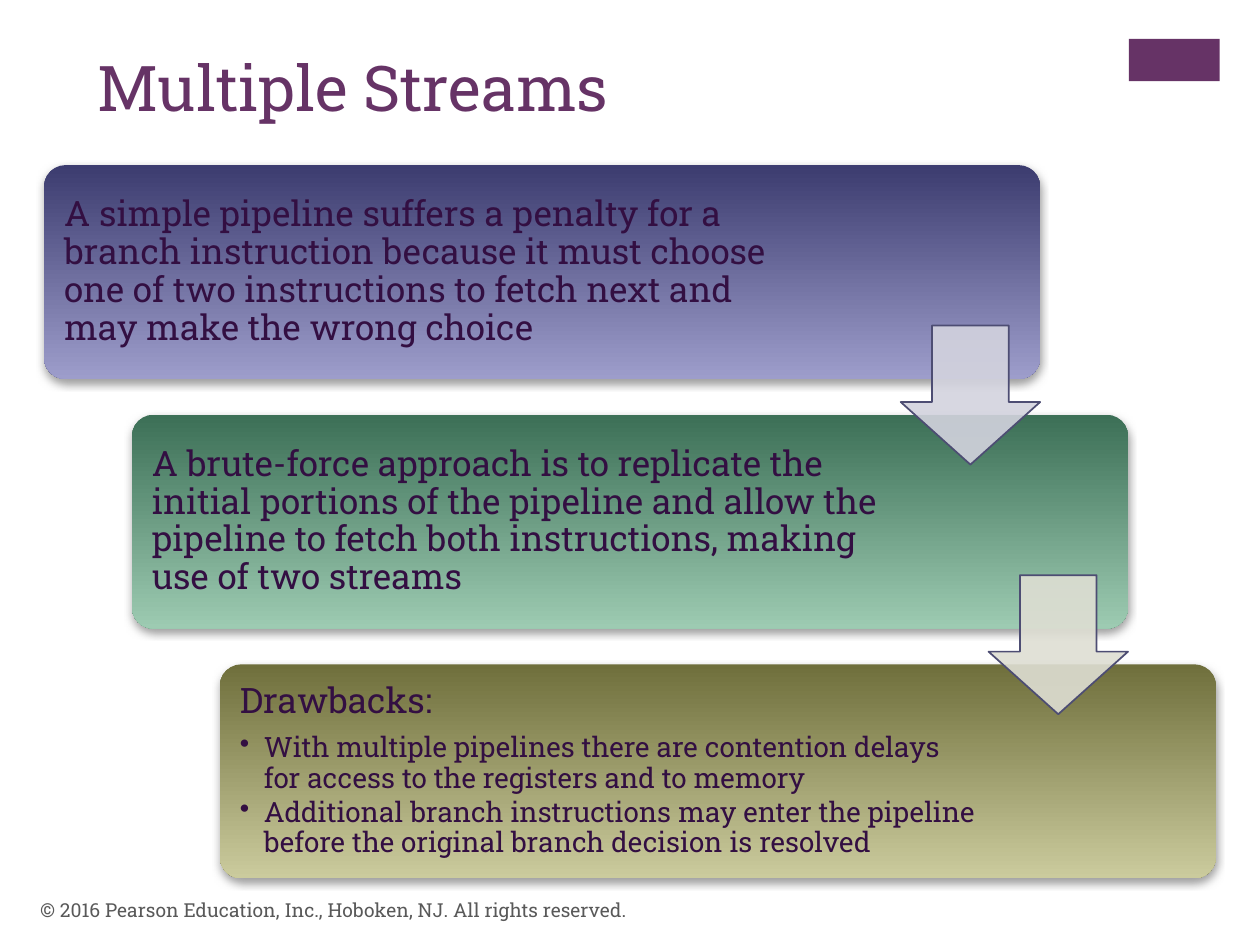
from dataclasses import dataclass
from lxml.etree import SubElement as Sub
from pptx import Presentation
from pptx.dml.color import RGBColor as Rgb
from pptx.enum.shapes import MSO_SHAPE as Kind
from pptx.enum.text import MSO_ANCHOR as Anchor, MSO_AUTO_SIZE as Fit, PP_ALIGN as Align
from pptx.oxml.ns import qn
from pptx.util import Inches as In, Pt


@dataclass(frozen=True)
class Theme:
    """Colours, type sizes and font of the slide."""
    font: str = "Roboto Slab"
    plum: str = "663366"
    ink: str = "330F42"
    gray: str = "595959"
    edge: str = "4D4D73"
    shade: str = "808080"
    head: int = 36
    body: int = 20
    item: int = 16
    note: int = 11


@dataclass(frozen=True)
class Box:
    """A rectangle in inches."""
    x: float
    y: float
    w: float
    h: float

    def cut(self, x, y, w, h):
        """Return an inner box given as shares of this one."""
        return Box(self.x + x * self.w, self.y + y * self.h, w * self.w, h * self.h)

    def emu(self):
        """Return left, top, width and height as lengths."""
        return [In(n) for n in (self.x, self.y, self.w, self.h)]


T = Theme()
PAGE = Box(0, 0, 10, 7.5)
COLS, ROWS = 100, 100
CARDS = [
    ("3C3C6F", "9D9DCB", "D3D3DE", 0.77,
     ["A simple pipeline suffers a penalty for a branch instruction because it must "
      "choose one of two instructions to fetch next and may make the wrong choice"]),
    ("3C6F56", "9DCBB2", "DEDED3", 0.76,
     ["A brute-force approach is to replicate the initial portions of the pipeline and "
      "allow the pipeline to fetch both instructions, making use of two streams"]),
    ("6F6F3C", "CBCB9D", None, 0.76,
     ["Drawbacks:",
      "With multiple pipelines there are contention delays for access to the registers "
      "and to memory",
      "Additional branch instructions may enter the pipeline before the original branch "
      "decision is resolved"]),
]


def grid(x, y, w, h):
    """Return a box from columns and rows of the page grid."""
    return PAGE.cut(x / COLS, y / ROWS, w / COLS, h / ROWS)


def rgb(code):
    """Turn a hex code into a colour."""
    return Rgb.from_string(code)


def tint(item, code, alpha=None):
    """Fill a shape with one colour, see-through when alpha is given."""
    item.fill.solid()
    item.fill.fore_color.rgb = rgb(code)
    if alpha:
        node = item._element.spPr.find(qn("a:solidFill"))[0]
        Sub(node, qn("a:alpha"), val=str(alpha * 1000))


def shape(slide, kind, box, *adjust):
    """Add a plain preset shape without line or shadow."""
    item = slide.shapes.add_shape(kind, *box.emu())
    item.shadow.inherit = False
    item.line.fill.background()
    for i, value in enumerate(adjust):
        item.adjustments[i] = value
    return item


def bullet(para):
    """Give a paragraph a hanging bullet."""
    para.level = 1
    props = para._p.get_or_add_pPr()
    props.set("marL", str(In(0.19)))
    props.set("indent", str(-In(0.19)))
    Sub(props, qn("a:buChar"), char="•")


def write(frame, lines, size, color, anchor=Anchor.MIDDLE, pad=(0.1, 0.05),
          small=None, tight=None):
    """Write a lead paragraph, then bulleted ones in the small size."""
    frame.word_wrap = True
    frame.auto_size = Fit.NONE
    frame.vertical_anchor = anchor
    frame.margin_left = frame.margin_right = In(pad[0])
    frame.margin_top = frame.margin_bottom = In(pad[1])
    for i, line in enumerate(lines):
        para = frame.paragraphs[0] if i == 0 else frame.add_paragraph()
        para.alignment = Align.LEFT
        if i:
            bullet(para)
        if tight:
            para.line_spacing = tight
            para.space_after = Pt(2.4 if i else 7)
        run = para.add_run()
        run.text = line
        run.font.name = T.font
        run.font.size = Pt(small if i else size)
        run.font.color.rgb = rgb(color)


def cast(item):
    """Drop a soft shadow straight below a shape."""
    soft = item._element.spPr.find(qn("a:effectLst"))
    drop = Sub(soft, qn("a:outerShdw"), blurRad=str(Pt(5)), dist=str(Pt(2)),
               dir="5400000", algn="ctr", rotWithShape="0")
    tone = Sub(drop, qn("a:srgbClr"), val=T.shade)
    Sub(tone, qn("a:alpha"), val="75000")


def card(slide, box, dark, light, share, lines):
    """Draw one shaded card with its text."""
    item = shape(slide, Kind.ROUNDED_RECTANGLE, box, 0.1)
    item.fill.gradient()
    item.fill.gradient_angle = 270
    for stop, code in zip(item.fill.gradient_stops, (dark, light)):
        stop.color.rgb = rgb(code)
    cast(item)
    area = box.cut(0.01, 0.03, share, 0.94)
    text = slide.shapes.add_textbox(*area.emu())
    write(text.text_frame, lines, T.body, T.ink, pad=(0.08, 0.08),
          small=T.item, tight=0.9)


def arrow(slide, box, color):
    """Draw the arrow that leads from a card to the next."""
    item = shape(slide, Kind.DOWN_ARROW, box.cut(0.86, 0.75, 0.14, 0.65), 0.55, 0.45)
    tint(item, color, 90)
    item.line.color.rgb = rgb(T.edge)
    item.line.width = Pt(1)


def steps(slide, box):
    """Lay the cards out as a staircase, with arrows on top."""
    spots = [box.cut(i * 0.075, i * 0.35, 0.85, 0.3) for i in range(len(CARDS))]
    for spot, (dark, light, _, share, lines) in zip(spots, CARDS):
        card(slide, spot, dark, light, share, lines)
    for spot, (_, _, color, _, _) in zip(spots, CARDS):
        if color:
            arrow(slide, spot, color)


def header(slide, box):
    """Place the title and the corner block."""
    block = shape(slide, Kind.RECTANGLE, box.cut(0.92, 0, 0.08, 0.27))
    tint(block, T.plum)
    title = slide.shapes.title
    title.left, title.top, title.width, title.height = box.cut(0, 0.02, 0.92, 0.98).emu()
    write(title.text_frame, ["Multiple Streams"], T.head, T.plum, Anchor.TOP)


def footer(slide, box):
    """Place the copyright line."""
    text = slide.shapes.add_textbox(*box.emu())
    line = "© 2016 Pearson Education, Inc., Hoboken, NJ. All rights reserved."
    write(text.text_frame, [line], T.note, T.gray)


def main():
    """Build and save the slide."""
    deck = Presentation()
    deck.slide_width, deck.slide_height = In(PAGE.w), In(PAGE.h)
    slide = deck.slides.add_slide(deck.slide_layouts[5])
    header(slide, grid(6.7, 4.13, 90.1, 16.53))
    steps(slide, grid(3.5, 17.47, 93, 75.47))
    footer(slide, grid(2.2, 93.6, 67, 5.33))
    deck.save("out.pptx")


if __name__ == "__main__":
    main()
